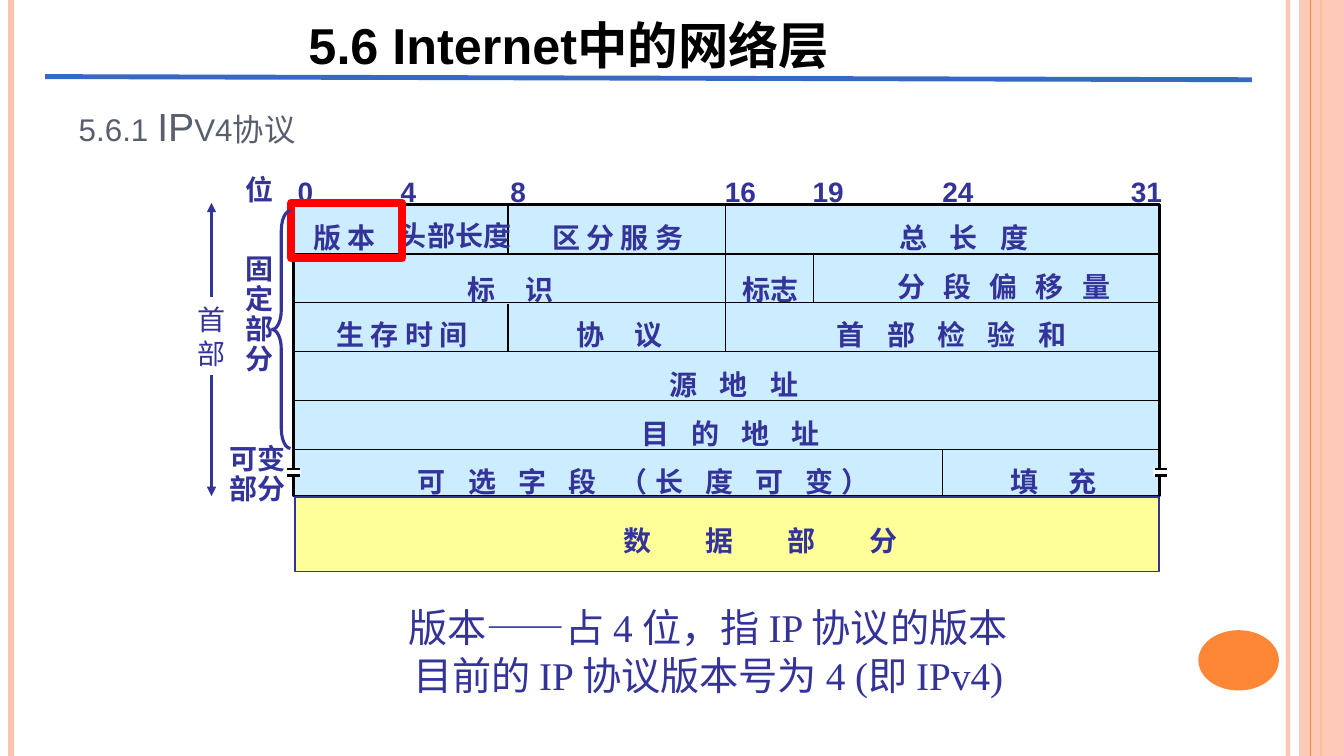
import pptx
import pptx.util
import pptx.dml.color
import pptx.enum.shapes
import pptx.enum.text
import pptx.oxml.ns
import lxml.etree

Cm = pptx.util.Cm
Pt = pptx.util.Pt
RGB = pptx.dml.color.RGBColor
Kind = pptx.enum.shapes.MSO_SHAPE
Align = pptx.enum.text.PP_ALIGN
Anchor = pptx.enum.text.MSO_ANCHOR
qn = pptx.oxml.ns.qn

INK = RGB(0x33, 0x33, 0x99)
BLACK = RGB(0, 0, 0)
WHITE = RGB(0xFF, 0xFF, 0xFF)
GRAY = RGB(0x57, 0x5F, 0x6D)
SKY = RGB(0xCC, 0xEC, 0xFF)
YELLOW = RGB(0xFF, 0xFF, 0x99)
RED = RGB(0xFF, 0, 0)
BLUE = RGB(0x36, 0x68, 0xC4)
PEACH = RGB(0xFE, 0xC3, 0xAE)
ORANGE = RGB(0xFE, 0x86, 0x37)


class Page:
    style = {"name": "Arial", "size": Pt(20), "bold": True}
    space = 0.2

    def __init__(self, deck):
        self.slide = deck.slides.add_slide(deck.slide_layouts[1])
        self.shapes = self.slide.shapes

    def child(self, node, tag, **attrs):
        return lxml.etree.SubElement(node, qn(tag), attrs)

    def fade(self, node, alpha):
        self.child(next(node.iter(qn("a:srgbClr"))), "a:alpha", val=str(alpha * 1000))

    def letter(self, shape, text, color=INK, align=Align.CENTER, lines=1.0,
               wrap=False, anchor=Anchor.TOP, gap=0, **look):
        frame = shape.text_frame
        frame.text = text
        for key, value in {"word_wrap": wrap, "vertical_anchor": anchor,
                           "auto_size": pptx.enum.text.MSO_AUTO_SIZE.NONE}.items():
            setattr(frame, key, value)
        for para in frame.paragraphs:
            for key, value in {"alignment": align, "line_spacing": lines,
                               "space_before": Pt(0)}.items():
                setattr(para, key, value)
            for run in para.runs:
                for key, value in {**self.style, **look}.items():
                    setattr(run.font, key, value)
                run.font.color.rgb = color
                if gap:
                    run._r.get_or_add_rPr().set("spc", str(round(gap * 100)))

    def place(self, shape, x, y, w, h):
        for key, value in zip(("left", "top", "width", "height"), (x, y, w, h)):
            setattr(shape, key, Cm(value))

    def title(self, text):
        shape = self.shapes.title
        self.place(shape, 7.52, -0.08, 14.71, 2.11)
        self.letter(shape, text, BLACK, Align.LEFT, 1.2, size=Pt(36))

    def body(self, text):
        shape = self.slide.placeholders[1]
        self.place(shape, 1.73, 1.88, 22.61, 2.01)
        self.letter(shape, text, GRAY, Align.LEFT, wrap=True, anchor=Anchor.BOTTOM,
                    size=Pt(28), bold=False)
        para = shape.text_frame.paragraphs[0]
        props = para._p.get_or_add_pPr()
        props.set("marL", "0")
        props.set("indent", "0")
        self.child(props, "a:buNone")
        para.runs[0]._r.get_or_add_rPr().set("cap", "small")

    def box(self, x, y, w, h, fill=None, line=None, width=1, kind=Kind.RECTANGLE):
        shape = self.shapes.add_shape(kind, Cm(x), Cm(y), Cm(w), Cm(h))
        shape.shadow.inherit = False
        if fill is None:
            shape.fill.background()
        else:
            shape.fill.solid()
            shape.fill.fore_color.rgb = fill
        if line is None:
            shape.line.fill.background()
        else:
            shape.line.color.rgb = line
            shape.line.width = Pt(width)
        return shape

    def line(self, x, y, to_x, to_y, color=BLACK, width=1.0):
        link = self.shapes.add_connector(pptx.enum.shapes.MSO_CONNECTOR.STRAIGHT,
                                         Cm(x), Cm(y), Cm(to_x), Cm(to_y))
        link.line.color.rgb = color
        link.line.width = Pt(width)
        self.child(link._element.spPr, "a:effectLst")
        return link

    def arrow(self, *args):
        link = self.line(*args)
        edge = link._element.spPr.find(qn("a:ln"))
        for tag in ("a:headEnd", "a:tailEnd"):
            self.child(edge, tag, type="triangle")

    def text(self, text, x, y, w, h, **look):
        shape = self.shapes.add_textbox(Cm(x), Cm(y), Cm(w), Cm(h))
        self.letter(shape, text, **look)

    def label(self, text, mid, top, gap=1, lines=1.2):
        rows = text.split("\n")
        wide = 0.51 + max(sum(self.space * gap if c == " " else 0.39 if c.isdigit()
                              else 0.71 for c in row) for row in rows)
        extra = (gap - 1) * self.space / 2
        self.text(text, mid - wide / 2 + extra / 2, top, wide,
                  0.25 + 0.85 * lines * len(rows),
                  lines=lines, gap=Cm(extra).pt)

    def gash(self, x, y):
        self.box(x, y, 0.36, 0.2, WHITE)
        for step in (0.02, 0.19):
            self.line(x + 0.03, y + step, x + 0.34, y + step, BLACK, 2)


def main():
    deck = pptx.Presentation()
    deck.slide_width, deck.slide_height = Cm(33.87), Cm(19.05)
    page = Page(deck)

    band = page.line(32.46, 0, 32.46, 19.05, PEACH, 3)
    page.fade(band._element, 93)
    for x, color, width in ((0.28, PEACH, 4.5), (33.3, ORANGE, 1.5)):
        page.line(x, 0, x, 19.05, color, width)
    side = page.box(32.74, 0, 1.13, 19.05, PEACH)
    page.fade(side._element, 87)
    page.line(33.02, 0, 33.02, 19.05, ORANGE, 0.75)
    page.box(30.2, 15.88, 2.03, 1.52, ORANGE, kind=Kind.OVAL)

    page.arrow(5.33, 5.11, 5.33, 12.5, INK, 2.25)
    head = page.box(4.72, 7.49, 1.22, 1.96, WHITE)
    page.letter(head, "首\n部", anchor=Anchor.MIDDLE, bold=False)

    page.box(7.39, 5.16, 21.84, 7.34, SKY, BLACK, 2)
    page.box(7.44, 12.52, 21.77, 1.88, YELLOW, INK)
    for row in range(5):
        y = 6.4 + 1.23 * row
        page.line(7.37, y, 29.26, y)
    for x, top, end in ((10.06, 5.18, 6.4), (12.8, 5.18, 6.4), (12.8, 7.65, 8.86),
                        (18.29, 5.18, 8.86), (23.75, 11.32, 12.5),
                        (20.5, 6.4, 7.63)):
        page.line(x, top, x, end)

    for bit, mid in ((0, 7.7), (4, 10.29), (8, 13.06), (16, 18.66), (19, 20.87),
                     (24, 24.14), (31, 28.89)):
        page.label(str(bit), mid, 4.11)

    for field in (("位", 6.53, 4.06),
                  ("版 本", 8.69, 5.26),
                  ("头部长度", 11.47, 5.21),
                  ("区 分 服 务", 15.57, 5.26),
                  ("总 长 度", 24.19, 5.26, 3),
                  ("标 识", 12.71, 6.58, 4),
                  ("标志", 19.41, 6.58),
                  ("分 段 偏 移 量", 25.22, 6.5, 2.5),
                  ("生 存 时 间", 10.13, 7.7),
                  ("协 议", 15.46, 7.7, 4),
                  ("首 部 检 验 和", 23.88, 7.7, 3),
                  ("源 地 址", 18.4, 8.97, 3),
                  ("目 的 地 址", 18.31, 10.21, 3),
                  ("可 选 字 段 （长 度 可 变）", 16.13, 11.4, 3),
                  ("填 充", 26.4, 11.4, 4),
                  ("数 据 部 分", 18.87, 12.9, 7),
                  ("固\n定\n部\n分", 6.53, 6.3, 1, 0.9),
                  ("可变\n部分", 6.48, 11.1, 1, 0.9)):
        page.label(*field)

    for x in (7.21, 29.07):
        page.gash(x, 11.8)

    page.text("版本——占 4 位，指 IP 协议的版本\n目前的 IP 协议版本号为 4 (即 IPv4)",
              8.13, 15.09, 19.43, 2.62, wrap=True,
              name="Times New Roman", size=Pt(28), bold=False)
    page.box(7.34, 5.11, 2.79, 1.4, None, RED, 6)
    brace = page.box(6.86, 5.31, 0.46, 5.99, None, INK, 2.25, Kind.LEFT_BRACE)
    brace.adjustments[0] = 1.08

    page.body("5.6.1 IPv4协议")
    page.line(1.14, 1.93, 31.55, 2.01, BLUE, 3.5)
    page.title("5.6 Internet中的网络层")
    deck.save("out.pptx")


if __name__ == "__main__":
    main()
